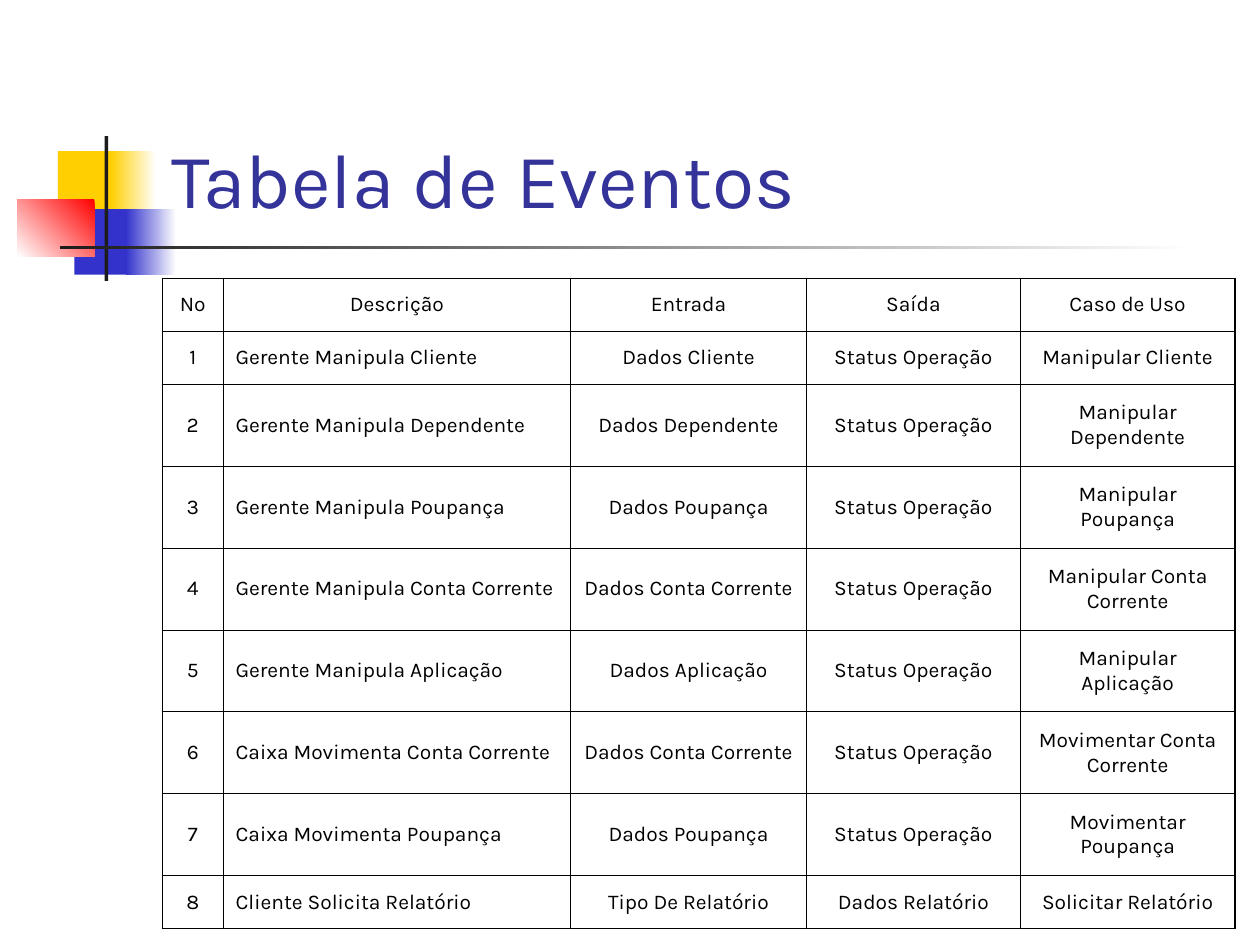
"""Build the event table slide."""
from typing import NamedTuple

from lxml.etree import SubElement as Sub
from pptx import Presentation
from pptx.dml.color import RGBColor as Rgb
from pptx.enum.shapes import MSO_SHAPE as Kind
from pptx.enum.text import MSO_ANCHOR as Anchor, MSO_AUTO_SIZE as Auto, PP_ALIGN as Align
from pptx.oxml.ns import qn
from pptx.util import Inches, Pt

FONT = "Karla"
INK = {
    "white": "FFFFFF", "gold": "FFCF01", "blue": "3333CC", "red": "FF0000",
    "dark": "1C1C1C", "title": "333399", "black": "000000",
}
THIN, THICK = 0.45, 1.08


class Block(NamedTuple):
    left: float
    top: float
    width: float
    height: float
    ink: str
    end: str = ""
    angle: int = 180


class Event(NamedTuple):
    num: str
    desc: str
    entry: str
    out: str
    case: str


BLOCKS = [
    Block(0.46, 1.2, 0.48, 0.52, "gold"),
    Block(0.88, 1.2, 0.36, 0.52, "white", "gold"),
    Block(0.59, 1.66, 0.46, 0.52, "blue"),
    Block(1, 1.66, 0.4, 0.52, "white", "blue"),
    Block(0.14, 1.58, 0.61, 0.46, "red", "white", 225),
    Block(0.83, 1.08, 0.03, 1.15, "dark"),
    Block(0.48, 1.95, 9, 0.03, "white", "dark"),
]
STATUS = "Status Operação"
EVENTS = [
    Event("Nº", "Descrição", "Entrada", "Saída", "Caso de Uso"),
    Event("1", "Gerente Manipula Cliente", "Dados Cliente", STATUS, "Manipular Cliente"),
    Event("2", "Gerente Manipula Dependente", "Dados Dependente", STATUS,
          "Manipular Dependente"),
    Event("3", "Gerente Manipula Poupança", "Dados Poupança", STATUS, "Manipular Poupança"),
    Event("4", "Gerente Manipula Conta Corrente", "Dados Conta Corrente", STATUS,
          "Manipular Conta Corrente"),
    Event("5", "Gerente Manipula Aplicação", "Dados Aplicação", STATUS,
          "Manipular Aplicação"),
    Event("6", "Caixa Movimenta Conta Corrente", "Dados Conta Corrente", STATUS,
          "Movimentar Conta Corrente"),
    Event("7", "Caixa Movimenta Poupança", "Dados Poupança", STATUS, "Movimentar Poupança"),
    Event("8", "Cliente Solicita Relatório", "Tipo De Relatório", "Dados Relatório",
          "Solicitar Relatório"),
]
WIDTHS = [0.48, 2.76, 1.87, 1.7, 1.7]
HEIGHTS = [0.42] * 2 + [0.65] * 6 + [0.42]


def tint(name: str) -> Rgb:
    return Rgb.from_string(INK[name])


def add_block(shapes, block: Block) -> None:
    box = [Inches(n) for n in block[:4]]
    shape = shapes.add_shape(Kind.RECTANGLE, *box)
    shape.shadow.inherit = False
    shape.line.fill.background()
    if block.end:
        shape.fill.gradient()
        shape.fill.gradient_angle = block.angle
        for stop, name in zip(shape.fill.gradient_stops, (block.ink, block.end)):
            stop.color.rgb = tint(name)
    else:
        shape.fill.solid()
        shape.fill.fore_color.rgb = tint(block.ink)


def add_text(frame, text: str, size: int, ink: str, align: Align) -> None:
    para = frame.paragraphs[0]
    para.alignment = align
    run = para.add_run()
    run.text = text
    run.font.name = FONT
    run.font.size = Pt(size)
    run.font.color.rgb = tint(ink)


def add_title(shapes, text: str) -> None:
    title = shapes.title
    shapes._spTree.append(title._element)
    title.left, title.top = Inches(1.26), Inches(0.23)
    title.width, title.height = Inches(8.52), Inches(1.6)
    frame = title.text_frame
    frame.auto_size = Auto.NONE
    frame.word_wrap = True
    frame.vertical_anchor = Anchor.BOTTOM
    add_text(frame, text, 44, "title", Align.LEFT)


def add_edge(cell, tag: str, width: float) -> None:
    line = Sub(cell._tc.get_or_add_tcPr(), qn(f"a:{tag}"), w=str(Pt(width)))
    fill = Sub(line, qn("a:solidFill"))
    Sub(fill, qn("a:srgbClr"), val=INK["black"])


def add_table(shapes, events: list[Event]) -> None:
    rows, cols = len(events), len(WIDTHS)
    table = shapes.add_table(rows, cols, Inches(1.29), Inches(2.21),
                             Inches(sum(WIDTHS)), Inches(sum(HEIGHTS))).table
    table.first_row = table.horz_banding = False
    for col, width in zip(table.columns, WIDTHS):
        col.width = Inches(width)
    for row, height in zip(table.rows, HEIGHTS):
        row.height = Inches(height)
    for r, event in enumerate(events):
        for c, text in enumerate(event):
            cell = table.cell(r, c)
            outer = {"lnL": c == 0, "lnR": c == cols - 1,
                     "lnT": r == 0, "lnB": r == rows - 1}
            for tag, edge in outer.items():
                add_edge(cell, tag, THICK if edge else THIN)
            cell.fill.background()
            cell.vertical_anchor = Anchor.MIDDLE
            align = Align.LEFT if r and c == 1 else Align.CENTER
            add_text(cell.text_frame, text, 12, "black", align)


def main() -> None:
    deck = Presentation()
    deck.slide_width, deck.slide_height = Inches(10), Inches(7.5)
    shapes = deck.slides.add_slide(deck.slide_layouts[5]).shapes
    for block in BLOCKS:
        add_block(shapes, block)
    add_title(shapes, "Tabela de Eventos")
    add_table(shapes, EVENTS)
    deck.save("out.pptx")


if __name__ == "__main__":
    main()
